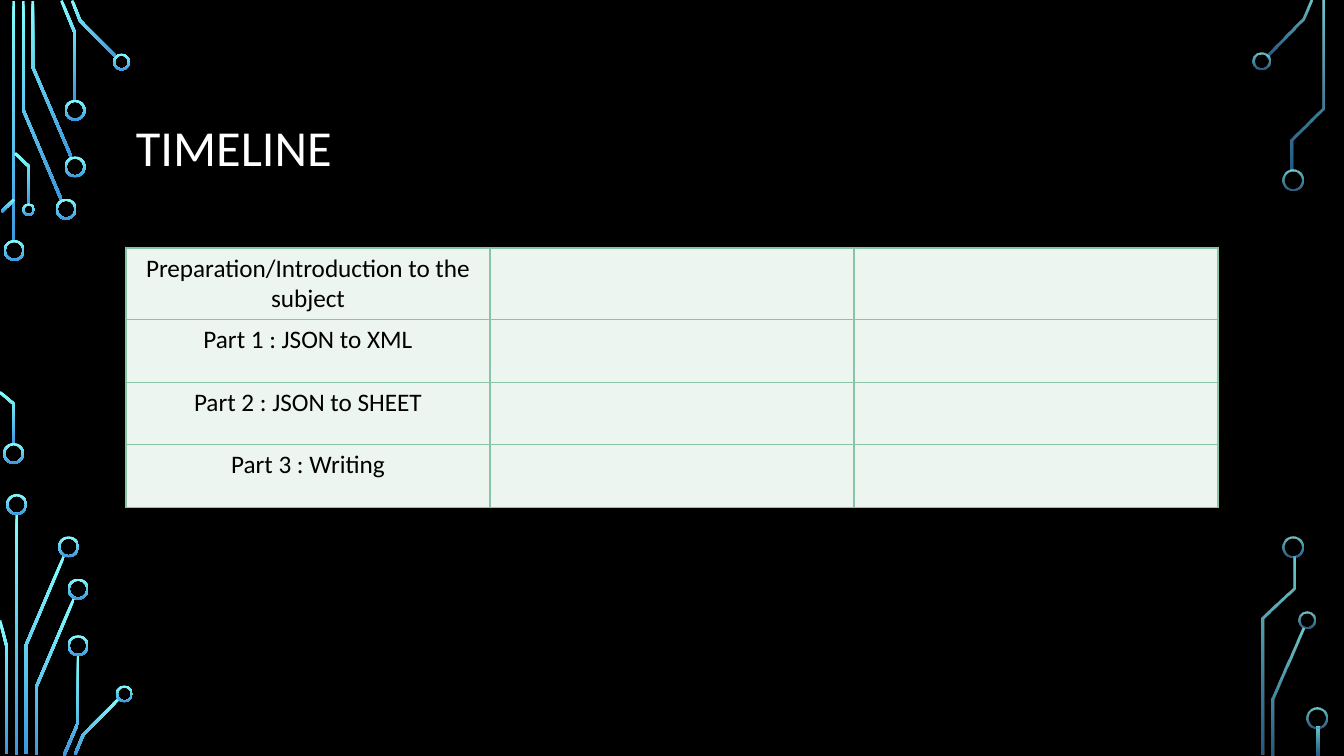
import math

import lxml.etree
import pptx
import pptx.dml.color
import pptx.enum.shapes
import pptx.enum.text
import pptx.oxml.ns
import pptx.util

Pt = pptx.util.Pt
ALIGN = pptx.enum.text.PP_ALIGN
ANCHOR = pptx.enum.text.MSO_ANCHOR

COLORS = {
    "background": "000000",
    "title": "FFFFFF",
    "cell_text": "000000",
    "cell": "EDF5F1",
    "border": "8AC4A7",
    "glow_top": "82FFFF",
    "glow_bottom": "3D97DE",
}
FONT = "Calibri"
TRACE_WIDTH = 1.9
RING_WIDTH = 1.44
BIG, MEDIUM, SMALL = 15, 12.2, 9

LEFT_TRACES = [
    [(9.7, 0.7), (9.7, 172.8)],
    [(43.9, 142.9), (16.6, 78.5), (16.6, 0.7)],
    [(51.1, 112.7), (23.4, 47.9), (23.4, 0.7)],
    [(53.6, 72), (53.6, 23.8), (43.9, 0.4)],
    [(51.5, 0.4), (57.2, 14.8), (83.2, 41)],
    [(1.1, 151.2), (10.1, 142.6)],
    [(10.1, 317.5), (10.1, 288.7), (0, 280.1)],
    [(20.9, 146.2), (20.9, 119.2), (10.8, 109.4)],
    [(11.9, 367.2), (11.9, 539.3)],
    [(18.4, 538.6), (18.4, 461.2), (45.7, 397.1)],
    [(4.7, 538.6), (4.7, 461.5), (0, 443.2)],
    [(25.6, 539.3), (25.6, 491.4), (52.9, 427.3)],
    [(45.7, 539.6), (55.8, 516.2), (55.8, 468)],
    [(53.6, 538.9), (59.4, 524.9), (85, 499)],
]
LEFT_RINGS = [
    (10.1, 178.9, BIG), (9.7, 324, BIG), (47.2, 149.4, BIG),
    (53.6, 119.2, BIG), (53.6, 78.8, BIG), (86.8, 44.3, MEDIUM),
    (20.5, 149.8, SMALL), (11.9, 360.4, BIG), (49, 390.6, BIG),
    (55.8, 420.8, BIG), (55.8, 461.2, BIG), (88.9, 495.7, MEDIUM),
]
RIGHT_TRACES = [
    [(905, 40), (930.6, 14), (936.4, 0.4)],
    [(909, 539.3), (909, 499.3), (931, 448.9)],
    [(923, 121.7), (923, 99.7), (945, 77.4), (945, 0.7)],
    [(901.8, 539.3), (901.8, 441.7), (924.1, 420.1), (924.1, 397.4)],
    [(941.4, 519.1), (941.4, 539.3)],
]
RIGHT_RINGS = [
    (901.1, 43.6, MEDIUM), (923.4, 128.5, BIG), (933.5, 443.2, MEDIUM),
    (923.8, 390.6, BIG), (940.7, 512.6, BIG),
]
PHASES = [
    "Preparation/Introduction to the subject",
    "Part 1 : JSON to XML",
    "Part 2 : JSON to SHEET",
    "Part 3 : Writing",
]


def rgb(name):
    """Return the named colour."""
    return pptx.dml.color.RGBColor.from_string(COLORS[name])


def add_child(parent, tag, **attributes):
    """Append a DrawingML element to its parent."""
    return lxml.etree.SubElement(parent, pptx.oxml.ns.qn(tag), attributes)


def glow(shape, opacities):
    """Fill a circuit part with the vertical glow and no outline."""
    shape.shadow.inherit = False
    shape.line.fill.background()
    shape.fill.gradient()
    shape.fill.gradient_angle = 270
    for stop, name in zip(shape.fill.gradient_stops, ("glow_top", "glow_bottom")):
        stop.color.rgb = rgb(name)
    stops = shape._element.spPr.iter(pptx.oxml.ns.qn("a:srgbClr"))
    for color, opacity in zip(list(stops), opacities):
        if opacity < 100:
            add_child(color, "a:alpha", val=str(opacity * 1000))


def trace_side(points, offset):
    """Return the centreline moved sideways, with mitred corners."""
    angles = [math.atan2(y2 - y1, x2 - x1)
              for (x1, y1), (x2, y2) in zip(points, points[1:])]
    side = []
    for (x, y), before, after in zip(points, angles[:1] + angles, angles + angles[-1:]):
        middle = (before + after) / 2
        reach = offset / math.cos((after - before) / 2)
        side.append((Pt(x - reach * math.sin(middle)), Pt(y + reach * math.cos(middle))))
    return side


def add_trace(slide, points, opacities):
    """Draw one circuit trace as a thin ribbon."""
    half = TRACE_WIDTH / 2
    outline = trace_side(points, half) + trace_side(points, -half)[::-1]
    builder = slide.shapes.build_freeform(*outline[0])
    builder.add_line_segments(outline[1:], close=True)
    glow(builder.convert_to_shape(), opacities)


def add_ring(slide, x, y, size, opacities):
    """Draw the ring at the end of a trace."""
    ring = slide.shapes.add_shape(
        pptx.enum.shapes.MSO_SHAPE.DONUT,
        Pt(x - size / 2), Pt(y - size / 2), Pt(size), Pt(size))
    ring.adjustments[0] = RING_WIDTH / size
    glow(ring, opacities)


def add_circuit(slide, traces, rings, opacities):
    """Draw all traces and rings of one side."""
    for points in traces:
        add_trace(slide, points, opacities)
    for x, y, size in rings:
        add_ring(slide, x, y, size, opacities)


def write(frame, text, size, color, align=ALIGN.LEFT, spacing=1.0):
    """Write one formatted paragraph into a text frame."""
    paragraph = frame.paragraphs[0]
    paragraph.alignment = align
    paragraph.line_spacing = spacing
    run = paragraph.add_run()
    run.text = text
    run.font.name = FONT
    run.font.size = Pt(size)
    run.font.color.rgb = rgb(color)


def add_title(slide, text):
    """Add the slide heading."""
    frame = slide.shapes.add_textbox(Pt(90), Pt(49), Pt(780), Pt(116.6)).text_frame
    frame.word_wrap = True
    frame.vertical_anchor = ANCHOR.MIDDLE
    write(frame, text, size=36, color="title", spacing=0.9)


def style_cell(cell):
    """Give a cell its borders and fill."""
    properties = cell._tc.get_or_add_tcPr()
    for edge in ("a:lnL", "a:lnR", "a:lnT", "a:lnB"):
        line = add_child(properties, edge, w=str(Pt(1)))
        add_child(add_child(line, "a:solidFill"), "a:srgbClr", val=COLORS["border"])
    cell.fill.solid()
    cell.fill.fore_color.rgb = rgb("cell")


def add_timeline(slide, phases):
    """Add the timeline table with one row for each phase."""
    heights = [51.4] + [44.64] * (len(phases) - 1)
    timeline = slide.shapes.add_table(
        len(phases), 3, Pt(90), Pt(177.1), Pt(780), Pt(sum(heights))).table
    for row, height, phase in zip(timeline.rows, heights, phases):
        row.height = Pt(height)
        for cell in row.cells:
            style_cell(cell)
        write(row.cells[0].text_frame, phase, size=18, color="cell_text", align=ALIGN.CENTER)


def main():
    """Build the timeline slide."""
    deck = pptx.Presentation()
    deck.slide_width, deck.slide_height = Pt(960), Pt(540)
    slide = deck.slides.add_slide(deck.slide_layouts[6])
    slide.background.fill.solid()
    slide.background.fill.fore_color.rgb = rgb("background")
    add_circuit(slide, LEFT_TRACES, LEFT_RINGS, (100, 100))
    add_circuit(slide, RIGHT_TRACES, RIGHT_RINGS, (80, 60))
    add_title(slide, "TIMELINE")
    add_timeline(slide, PHASES)
    deck.save("out.pptx")


if __name__ == "__main__":
    main()
